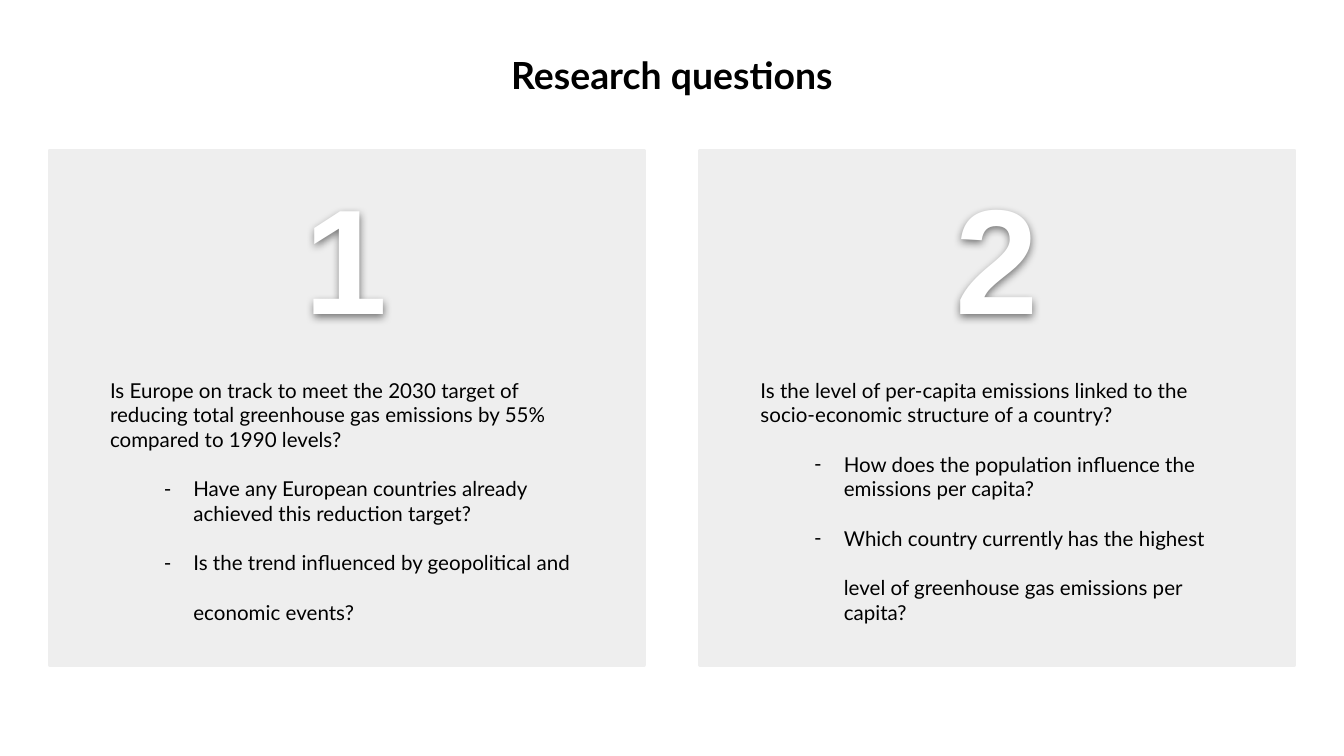
from dataclasses import dataclass

from lxml import etree
from pptx import Presentation
from pptx.dml.color import RGBColor
from pptx.enum import shapes, text
from pptx.oxml import ns
from pptx.util import Inches, Pt


@dataclass(frozen=True)
class Theme:
    ink: RGBColor = RGBColor(0, 0, 0)
    panel: RGBColor = RGBColor(0xEE, 0xEE, 0xEE)
    number: RGBColor = RGBColor(0xFF, 0xFF, 0xFF)
    body_font: str = "Lato"
    number_font: str = "Arial"
    title_size: float = 20
    body_size: float = 11
    number_size: float = 80


@dataclass(frozen=True)
class Item:
    words: str
    dash: bool = True


@dataclass(frozen=True)
class Question:
    number: str
    words: str
    items: tuple[Item, ...]


THEME = Theme()
MARGIN, PANEL_TOP = 0.37, 1.12
PANEL_WIDTH, PANEL_HEIGHT, PANEL_STEP = 4.42, 3.83, 4.84
TEXT_INDENT, DASH_INDENT = 0.62, 0.4

QUESTIONS = (
    Question(
        "1",
        "Is Europe on track to meet the 2030 target of reducing total "
        "greenhouse gas emissions by 55% compared to 1990 levels?",
        (
            Item("Have any European countries already achieved this reduction target?"),
            Item("Is the trend influenced by geopolitical and"),
            Item("economic events?", dash=False),
        ),
    ),
    Question(
        "2",
        "Is the level of per-capita emissions linked to the "
        "socio-economic structure of a country?",
        (
            Item("How does the population influence the emissions per capita?"),
            Item("Which country currently has the highest"),
            Item("level of greenhouse gas emissions per capita?", dash=False),
        ),
    ),
)


def style_text(para, font: str, size: float, color: RGBColor, bold: bool = False) -> None:
    for span in para.runs:
        span.font.name = font
        span.font.size = Pt(size)
        span.font.color.rgb = color
        span.font.bold = bold


def indent_item(para, dash: bool) -> None:
    """Indent a paragraph, with a hanging dash when it opens an item."""
    properties = para._p.get_or_add_pPr()
    properties.set("marL", str(Inches(TEXT_INDENT)))
    hang = Inches(DASH_INDENT) - Inches(TEXT_INDENT) if dash else 0
    properties.set("indent", str(hang))
    if dash:
        etree.SubElement(properties, ns.qn("a:buFont"), typeface=THEME.body_font)
        etree.SubElement(properties, ns.qn("a:buChar"), char="-")


def add_text_shadow(box) -> None:
    effects = etree.SubElement(box._element.spPr, ns.qn("a:effectLst"))
    shadow = etree.SubElement(
        effects, ns.qn("a:outerShdw"), blurRad=str(Pt(4.5)), dist=str(Pt(1.5)),
        dir="5400000", algn="bl", rotWithShape="0",
    )
    color = etree.SubElement(shadow, ns.qn("a:srgbClr"), val="000000")
    etree.SubElement(color, ns.qn("a:alpha"), val="50000")


def add_panel(page, left: float) -> None:
    panel = page.shapes.add_shape(
        shapes.MSO_SHAPE.RECTANGLE, Inches(left), Inches(PANEL_TOP),
        Inches(PANEL_WIDTH), Inches(PANEL_HEIGHT),
    )
    panel.shadow.inherit = False
    panel.fill.solid()
    panel.fill.fore_color.rgb = THEME.panel
    panel.line.color.rgb = THEME.panel
    panel.line.width = Pt(2)


def add_number(page, left: float, number: str) -> None:
    box = page.shapes.add_textbox(
        Inches(left + 1.66), Inches(1.18), Inches(1.09), Inches(1.45)
    )
    frame = box.text_frame
    frame.word_wrap = True
    frame.text = number
    para = frame.paragraphs[0]
    para.alignment = text.PP_ALIGN.CENTER
    style_text(para, THEME.number_font, THEME.number_size, THEME.number, bold=True)
    add_text_shadow(box)


def add_body(page, left: float, question: Question) -> None:
    box = page.shapes.add_textbox(
        Inches(left + 0.35), Inches(2.21), Inches(3.71), Inches(2.5)
    )
    frame = box.text_frame
    frame.word_wrap = True
    frame.margin_top = Inches(0.6)
    frame.text = question.words
    for item in question.items:
        para = frame.add_paragraph()
        para.text = item.words
        para.space_before = Pt(THEME.body_size * 1.2)
        indent_item(para, item.dash)
    for para in frame.paragraphs:
        style_text(para, THEME.body_font, THEME.body_size, THEME.ink)


def set_title(page, words: str) -> None:
    title = page.shapes.title
    title.left, title.top = Inches(MARGIN), Inches(0.34)
    title.width, title.height = Inches(9.26), Inches(0.44)
    frame = title.text_frame
    frame.text = words
    frame.auto_size = text.MSO_AUTO_SIZE.NONE
    frame.vertical_anchor = text.MSO_ANCHOR.TOP
    para = frame.paragraphs[0]
    para.alignment = text.PP_ALIGN.CENTER
    style_text(para, THEME.body_font, THEME.title_size, THEME.ink, bold=True)


def main() -> None:
    deck = Presentation()
    deck.slide_width = Inches(10)
    deck.slide_height = deck.slide_width * 9 // 16
    page = deck.slides.add_slide(deck.slide_layouts.get_by_name("Title Only"))
    set_title(page, "Research questions")
    for column, question in enumerate(QUESTIONS):
        left = MARGIN + column * PANEL_STEP
        add_panel(page, left)
        add_body(page, left, question)
        add_number(page, left, question.number)
    deck.save("out.pptx")


if __name__ == "__main__":
    main()
